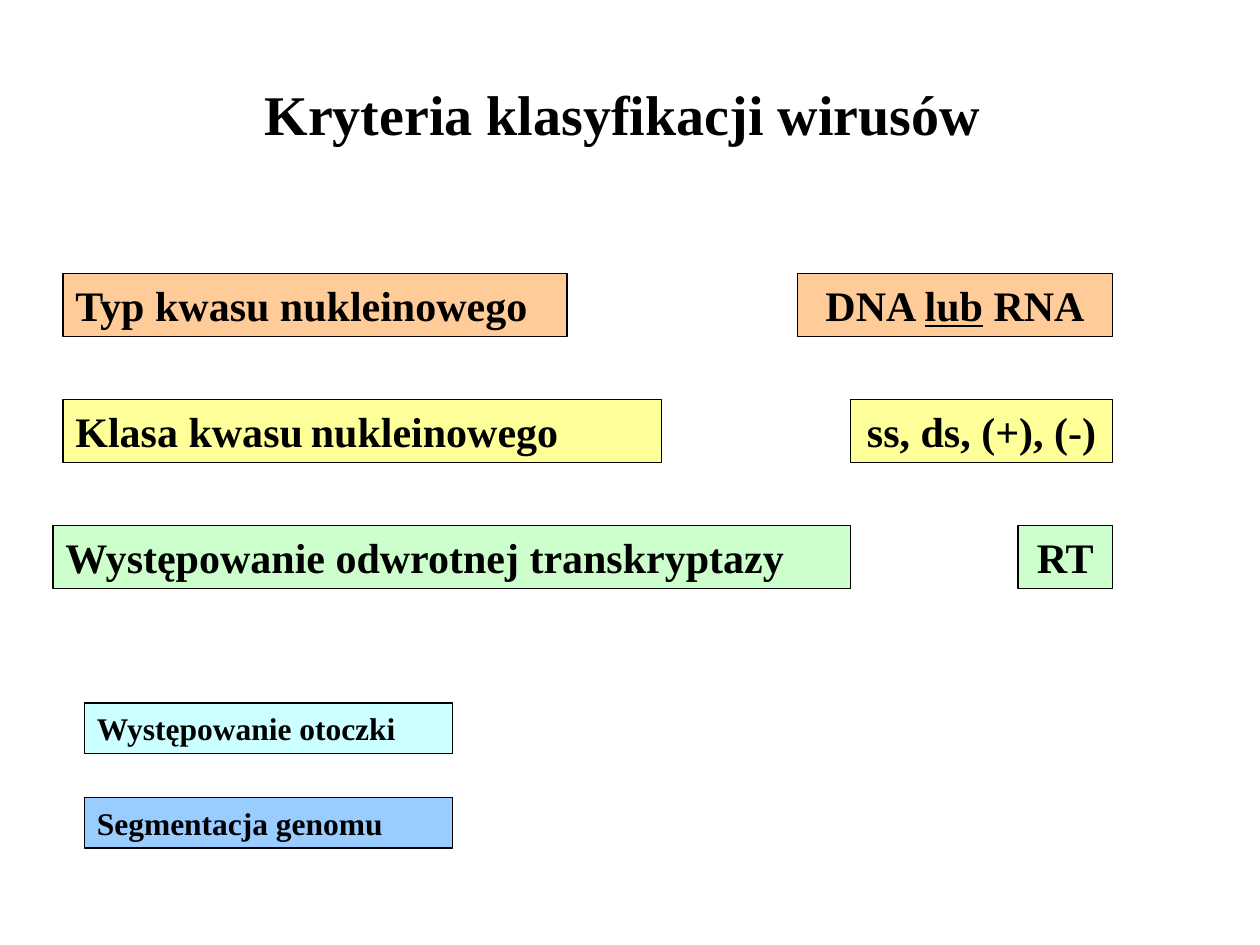
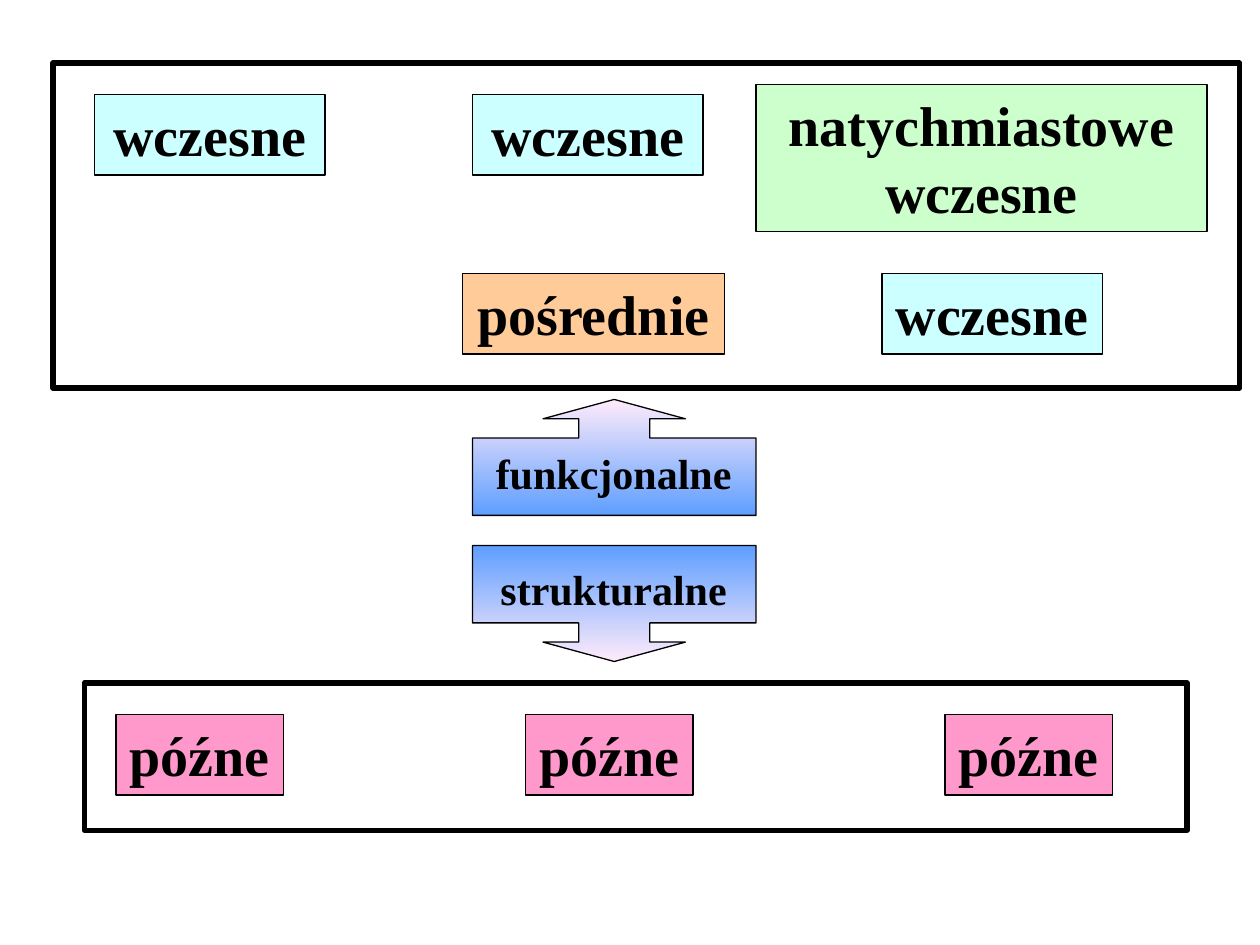
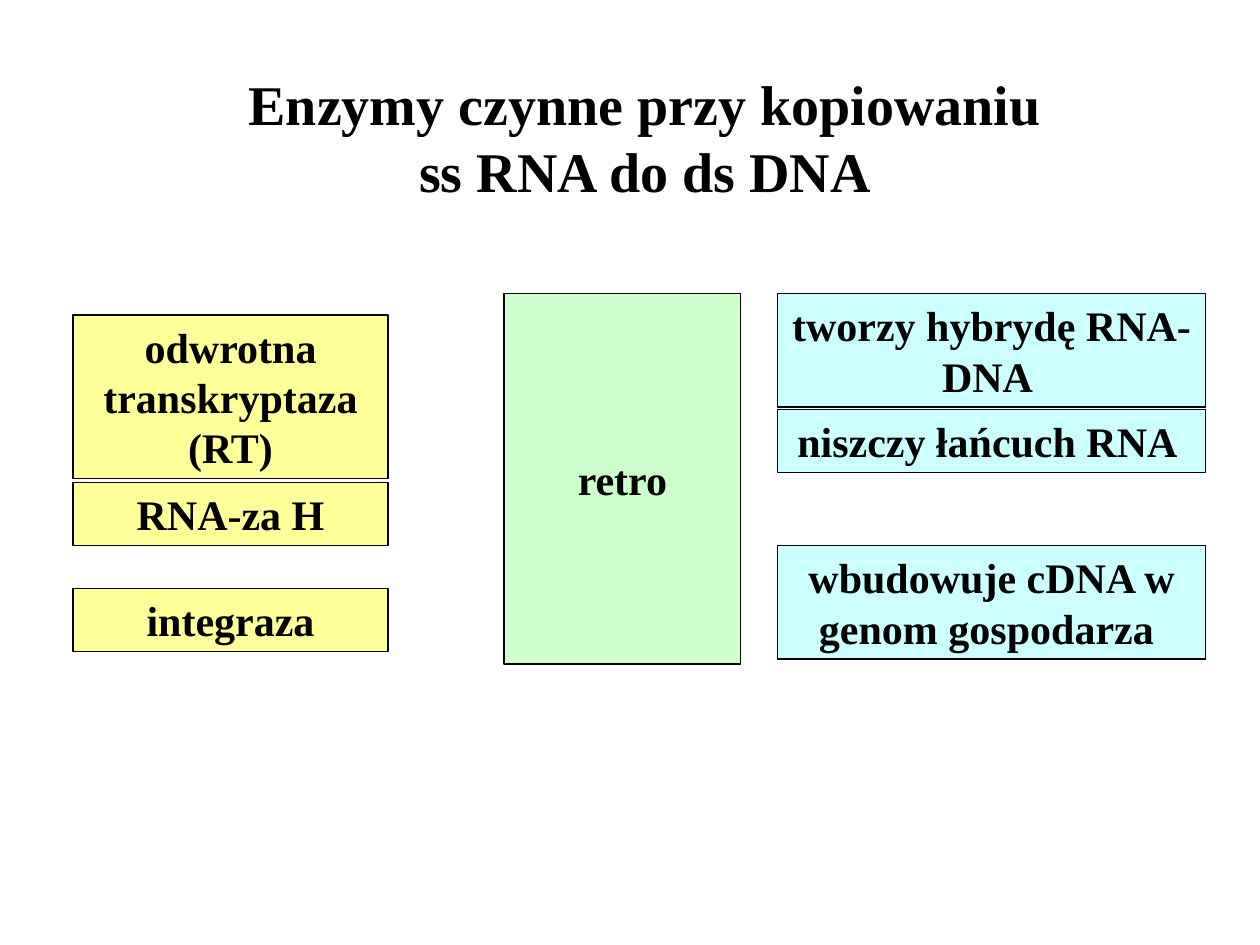
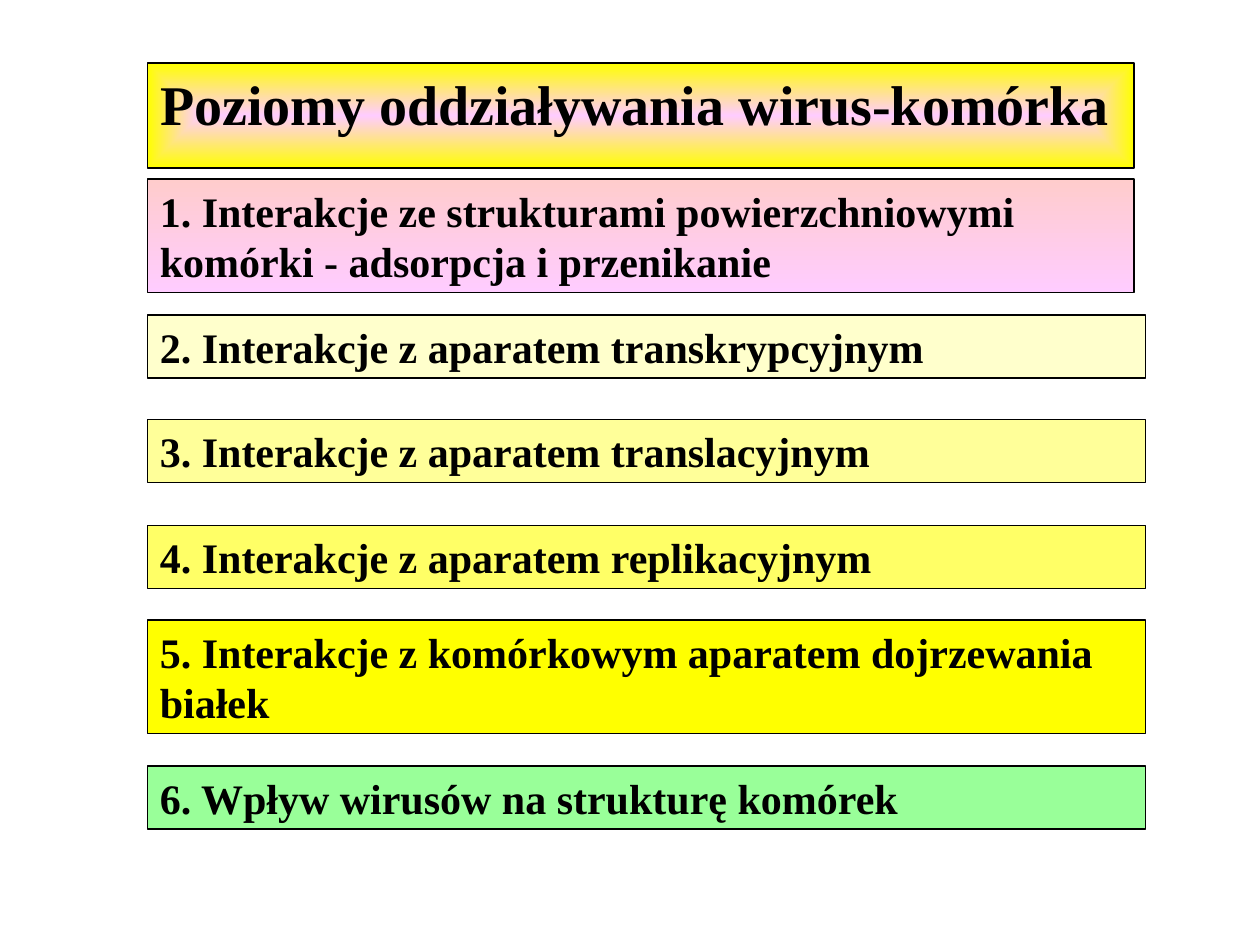
from pptx import Presentation
from pptx.dml.color import RGBColor
from pptx.enum.shapes import MSO_SHAPE
from pptx.enum.text import MSO_ANCHOR, MSO_AUTO_SIZE, PP_ALIGN
from pptx.oxml.ns import qn
from pptx.util import Inches, Pt
from lxml import etree

RECT = MSO_SHAPE.RECTANGLE
UP, DOWN = MSO_SHAPE.UP_ARROW_CALLOUT, MSO_SHAPE.DOWN_ARROW_CALLOUT
LEFT, CENTER = PP_ALIGN.LEFT, PP_ALIGN.CENTER
TOP, MIDDLE = MSO_ANCHOR.TOP, MSO_ANCHOR.MIDDLE
GROW = MSO_AUTO_SIZE.SHAPE_TO_FIT_TEXT

BLACK = RGBColor(0x00, 0x00, 0x00)
ORANGE = RGBColor(0xFF, 0xCC, 0x99)
GREEN = RGBColor(0xCC, 0xFF, 0xCC)
MINT = RGBColor(0x99, 0xFF, 0x99)
CYAN = RGBColor(0xCC, 0xFF, 0xFF)
SKY = RGBColor(0x99, 0xCC, 0xFF)
PINK = RGBColor(0xFF, 0x99, 0xCC)
ROSE = RGBColor(0xFF, 0xCC, 0xCC)
LILAC = RGBColor(0xFF, 0xCC, 0xFF)
CREAM = RGBColor(0xFF, 0xFF, 0xCC)
PALE_YELLOW = RGBColor(0xFF, 0xFF, 0x99)
LIGHT_YELLOW = RGBColor(0xFF, 0xFF, 0x66)
YELLOW = RGBColor(0xFF, 0xFF, 0x00)
ARROW_BLUE = RGBColor(0x5E, 0x9E, 0xFF)
ARROW_PINK = RGBColor(0xFF, 0xEB, 0xFA)

FONT = "Times New Roman"
TITLE_SIZE, TEXT_SIZE, SMALL_SIZE = 32, 24, 18
TITLE_ONLY, BLANK = 5, 6


def write(tf, text, size, align=LEFT, anchor=TOP):
    tf.word_wrap = True
    tf.vertical_anchor = anchor
    tf.margin_left = tf.margin_right = Inches(0.1)
    tf.margin_top = tf.margin_bottom = Inches(0.05)
    p = tf.paragraphs[0]
    p.alignment = align
    parts = [text] if isinstance(text, str) else text
    for part in parts:
        r = p.add_run()
        r.text = part
        r.font.name = FONT
        r.font.size = Pt(size)
        r.font.bold = True
        r.font.color.rgb = BLACK
    return p


def outline(sp, width=0.75):
    sp.line.color.rgb = BLACK
    sp.line.width = Pt(width)


def paint(sp, fill):
    if fill is None:
        sp.fill.background()
    elif isinstance(fill, RGBColor):
        sp.fill.solid()
        sp.fill.fore_color.rgb = fill
    else:
        sp.fill.gradient()
        sp.fill.gradient_angle = 270
        for stop, position, color in zip(sp.fill.gradient_stops, (0, 1), fill):
            stop.position = position
            stop.color.rgb = color


def radiate_from_center(sp):
    grad = sp.element.spPr.find(qn("a:gradFill"))
    grad.remove(grad.find(qn("a:lin")))
    shade = etree.SubElement(grad, qn("a:path"))
    shade.set("path", "rect")
    center = etree.SubElement(shade, qn("a:fillToRect"))
    for side in "ltrb":
        center.set(side, "50000")


def add_shape(s, kind, box, fill=None, width=0.75):
    sp = s.shapes.add_shape(kind, *map(Inches, box))
    sp.shadow.inherit = False
    paint(sp, fill)
    outline(sp, width)
    return sp


def add_box(s, text, box, fill, size=TEXT_SIZE, align=CENTER, anchor=TOP):
    sp = add_shape(s, RECT, box, fill)
    return write(sp.text_frame, text, size, align, anchor)


def add_title(s, text, box, align=LEFT):
    sp = s.shapes.title
    sp.left, sp.top, sp.width, sp.height = map(Inches, box)
    write(sp.text_frame, text, TITLE_SIZE, align)
    sp.text_frame.auto_size = GROW
    return sp


def add_arrow(s, kind, label, left, top, label_drop, fill):
    sp = add_shape(s, kind, (left, top, 2.25, 0.92), fill)
    for i, value in enumerate((0.614, 0.614, 0.167, 0.667)):
        sp.adjustments[i] = value
    tb = s.shapes.add_textbox(Inches(left + 0.08), Inches(top + label_drop),
                              Inches(2.08), Inches(0.5))
    write(tb.text_frame, label, TEXT_SIZE, CENTER)


def criteria_slide(prs):
    s = prs.slides.add_slide(prs.slide_layouts[TITLE_ONLY])
    add_title(s, "Kryteria klasyfikacji wirusów", (2, 0.58, 6.08, 0.64))
    right = 8.83
    criteria = [
        ("Typ kwasu nukleinowego", 0.5, 4, ("DNA ", "lub", " RNA"), 2.5, ORANGE),
        (("Klasa kwasu", " ", "nukleinowego"), 0.5, 4.75, "ss, ds, (+), (-)", 2.08, PALE_YELLOW),
        ("Występowanie odwrotnej transkryptazy", 0.42, 6.33, "RT", 0.75, GREEN),
    ]
    for i, (name, left, width, values, values_width, fill) in enumerate(criteria):
        top = 2.17 + i
        name_p = add_box(s, name, (left, top, width, 0.5), fill, align=LEFT)
        values_p = add_box(s, values, (right - values_width, top, values_width, 0.5), fill)
        for r in name_p.runs:
            if r.text == " ":
                r.font.size = Pt(SMALL_SIZE)
        for r in values_p.runs:
            if r.text == "lub":
                r.font.underline = True
    extras = [("Występowanie otoczki", CYAN), ("Segmentacja genomu", SKY)]
    for i, (name, fill) in enumerate(extras):
        add_box(s, name, (0.67, 5.58 + 0.75 * i, 2.92, 0.4), fill, SMALL_SIZE, LEFT)


def early_group(s, left, top, width, height):
    genes = [
        ("wczesne", 0.33, 0.25, 1.83, 0.64, CYAN),
        ("wczesne", 3.33, 0.25, 1.83, 0.64, CYAN),
        ("pośrednie", 3.25, 1.67, 2.08, 0.64, ORANGE),
        ("natychmiastowe wczesne", 5.58, 0.17, 3.58, 1.17, GREEN),
        ("wczesne", 6.58, 1.67, 1.75, 0.64, CYAN),
    ]
    for text, dx, dy, w, h, fill in genes:
        add_box(s, text, (left + dx, top + dy, w, h), fill, TITLE_SIZE)
    add_shape(s, RECT, (left, top, width, height), width=3)


def late_group(s, left, top, width, height):
    for dx in (0.25, 3.5, 6.83):
        add_box(s, "późne", (left + dx, top + 0.25, 1.33, 0.64), PINK, TITLE_SIZE)
    add_shape(s, RECT, (left, top, width, height), width=3)


def genes_slide(prs):
    s = prs.slides.add_slide(prs.slide_layouts[BLANK])
    early_group(s, 0.42, 0.5, 9.42, 2.58)
    late_group(s, 0.67, 5.42, 8.75, 1.17)
    add_arrow(s, UP, "funkcjonalne", 3.75, 3.17, 0.33, (ARROW_PINK, ARROW_BLUE))
    add_arrow(s, DOWN, "strukturalne", 3.75, 4.33, 0.09, (ARROW_BLUE, ARROW_PINK))


def box_column(s, left, width, fill, rows, align=CENTER):
    for text, top, height in rows:
        add_box(s, text, (left, top, width, height), fill, align=align)


def enzymes_slide(prs):
    s = prs.slides.add_slide(prs.slide_layouts[TITLE_ONLY])
    add_title(s, "Enzymy czynne przy kopiowaniu ss RNA do ds DNA",
              (1.83, 0.5, 6.58, 1.17), CENTER)
    box_column(s, 0.58, 2.5, PALE_YELLOW, [
        ("odwrotna transkryptaza (RT)", 2.5, 1.3),
        ("RNA-za H", 3.83, 0.5),
        ("integraza", 4.67, 0.5),
    ])
    add_box(s, "retro", (4, 2.33, 1.88, 2.94), GREEN, anchor=MIDDLE)
    box_column(s, 6.17, 3.4, CYAN, [
        ("tworzy hybrydę RNA-DNA ", 2.33, 0.9),
        ("niszczy łańcuch RNA ", 3.25, 0.5),
        ("wbudowuje cDNA w genom gospodarza ", 4.33, 0.9),
    ])


def levels_slide(prs):
    s = prs.slides.add_slide(prs.slide_layouts[TITLE_ONLY])
    left = 1.17
    title = add_title(s, "Poziomy oddziaływania wirus-komórka", (left, 0.5, 7.83, 0.64))
    paint(title, (LILAC, YELLOW))
    radiate_from_center(title)
    outline(title)
    levels = [
        ("1. Interakcje ze strukturami powierzchniowymi komórki - adsorpcja i przenikanie",
         1.42, 7.83, 0.9, (ROSE, LILAC)),
        ("2. Interakcje z aparatem transkrypcyjnym", 2.5, 7.92, 0.5, CREAM),
        ("3. Interakcje z aparatem translacyjnym", 3.33, 7.92, 0.5, PALE_YELLOW),
        ("4. Interakcje z aparatem replikacyjnym", 4.17, 7.92, 0.5, LIGHT_YELLOW),
        ("5. Interakcje z komórkowym aparatem dojrzewania białek", 4.92, 7.92, 0.9, YELLOW),
        ("6. Wpływ wirusów na strukturę komórek", 6.08, 7.92, 0.5, MINT),
    ]
    for text, top, width, height, fill in levels:
        add_box(s, text, (left, top, width, height), fill, align=LEFT)


def main():
    prs = Presentation()
    prs.slide_width, prs.slide_height = Inches(10), Inches(7.5)
    for build in (criteria_slide, genes_slide, enzymes_slide, levels_slide):
        build(prs)
    prs.save("out.pptx")


if __name__ == "__main__":
    main()
